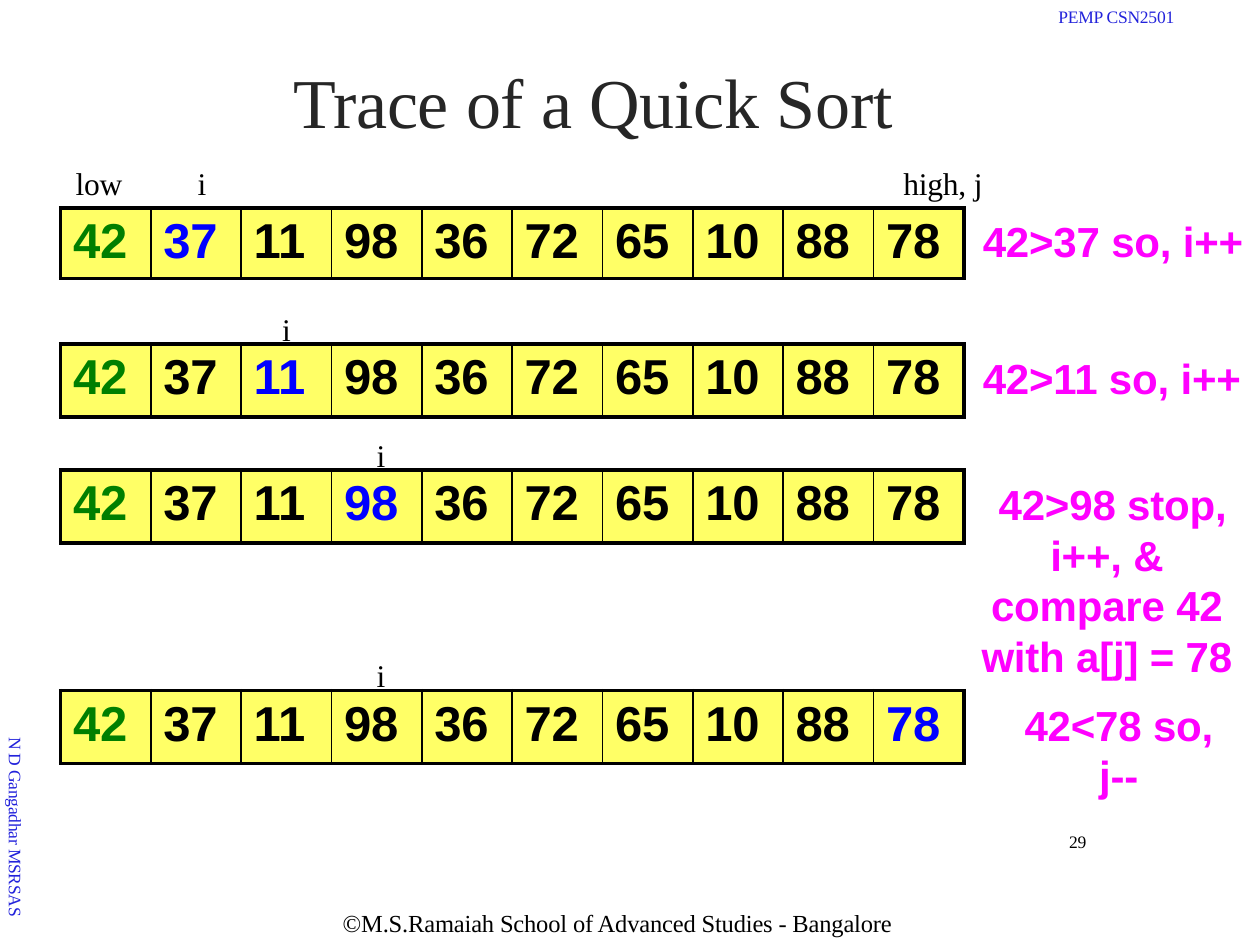
from lxml.etree import SubElement
from pptx import Presentation
from pptx.dml.color import RGBColor
from pptx.enum.text import MSO_ANCHOR as Anchor, PP_ALIGN as Align
from pptx.oxml.ns import qn
from pptx.util import Inches, Pt

SERIF, SANS = "Times New Roman", "Arial"
BLACK, BLUE, GREEN = "000000", "0000FF", "007F00"
MAGENTA, YELLOW, MARGIN_BLUE, TITLE_GREY = "FF00FF", "FFFF66", "2222DB", "262626"
VALUES = [42, 37, 11, 98, 36, 72, 65, 10, 88, 78]
TRACE_LEFT, TRACE_WIDTH = 0.48, 7.17


def color(hex_code):
    return RGBColor.from_string(hex_code)


def style(paragraph, size, font, ink, bold=False, left=0.01, first=0, right=0, before=0):
    paragraph.space_before = Pt(before)
    indents = paragraph._p.get_or_add_pPr()
    for key, inches in (("marL", left), ("indent", first), ("marR", right)):
        indents.set(key, str(Inches(inches)))
    for run in paragraph.runs:
        run.font.size = Pt(size)
        run.font.name = font
        run.font.bold = bold
        run.font.color.rgb = color(ink)
        run._r.get_or_add_rPr().set("spc", "-10")


def set_margins(frame, top=0.01):
    frame.word_wrap = True
    frame.margin_left = frame.margin_right = frame.margin_bottom = 0
    frame.margin_top = Inches(top)


def add_label(slide, place, text, size, font=SERIF, ink=BLACK, bold=False):
    frame = slide.shapes.add_textbox(*map(Inches, place)).text_frame
    set_margins(frame)
    frame.text = text
    style(frame.paragraphs[0], size, font, ink, bold)
    return frame


def add_title(slide, text):
    title = slide.shapes.title
    title.left, title.top, title.width, title.height = map(Inches, (2.23, 0.45, 4.94, 0.69))
    frame = title.text_frame
    set_margins(frame)
    frame.vertical_anchor = Anchor.MIDDLE
    frame.text = text
    frame.paragraphs[0].alignment = Align.CENTER
    style(frame.paragraphs[0], 40, SERIF, TITLE_GREY)


def add_border(cell, side, width):
    line = SubElement(cell._tc.get_or_add_tcPr(), qn(f"a:ln{side}"), w=str(Pt(width)))
    fill = SubElement(line, qn("a:solidFill"))
    SubElement(fill, qn("a:srgbClr"), val=BLACK)


def add_trace(slide, top, height, compared):
    last = len(VALUES) - 1
    place = map(Inches, (TRACE_LEFT, top, TRACE_WIDTH, height))
    trace = slide.shapes.add_table(1, len(VALUES), *place).table
    trace.first_row = trace.horz_banding = False
    for index, value in enumerate(VALUES):
        cell = trace.cell(0, index)
        cell.margin_left = cell.margin_right = cell.margin_bottom = 0
        cell.margin_top = Inches(0.05)
        cell.text = str(value)
        ink = GREEN if index == 0 else BLUE if index == compared else BLACK
        style(cell.text_frame.paragraphs[0], 28, SANS, ink, True, left=0.1, before=3.7)
        add_border(cell, "L", 2.25 if index == 0 else 1)
        add_border(cell, "R", 2.25 if index == last else 1)
        add_border(cell, "T", 2.25)
        add_border(cell, "B", 2.25)
        cell.fill.solid()
        cell.fill.fore_color.rgb = color(YELLOW)


def add_stop_notes(slide):
    frame = add_label(slide, (7.76, 3.79, 2.14, 2.18),
                      "42>98 stop, i++, & compare 42 with a[j] = 78", 24, SANS, MAGENTA, True)
    stop = frame.paragraphs[0]
    style(stop, 24, SANS, MAGENTA, True, first=0.09, right=0.1)
    step = frame.add_paragraph()
    step.text = "42<78 so, j--"
    style(step, 24, SANS, MAGENTA, True, left=0.2, right=0.1, before=10.7)
    stop.alignment = step.alignment = Align.CENTER


def add_page_number(slide, number):
    frame = add_label(slide, (8.29, 6.52, 0.43, 0.31), number, 10)
    frame.margin_right = Inches(0.1)
    frame.vertical_anchor = Anchor.MIDDLE
    frame.paragraphs[0].alignment = Align.RIGHT


def main():
    deck = Presentation()
    deck.slide_width, deck.slide_height = Inches(10), Inches(7.5)
    slide = deck.slides.add_slide(deck.slide_layouts[5])

    add_label(slide, (8.39, 0.04, 0.98, 0.19), "PEMP CSN2501", 10, ink=MARGIN_BLUE)
    author = add_label(slide, (0.03, 5.84, 0.18, 1.48), "N D Gangadhar MSRSAS", 10,
                       ink=MARGIN_BLUE)
    author._txBody.bodyPr.set("vert", "vert")
    author.margin_top = 0
    add_label(slide, (2.71, 7.2, 4.48, 0.26),
              "©M.S.Ramaiah School of Advanced Studies - Bangalore", 14)
    add_title(slide, "Trace of a Quick Sort")

    for top, height, compared in ((1.65, 0.56, 1), (2.73, 0.58, 2), (3.73, 0.58, 3), (5.48, 0.58, 9)):
        add_trace(slide, top, height, compared)

    for left, top, width, pointer in (
        (0.59, 1.29, 0.4, "low"),
        (1.56, 1.29, 0.1, "i"),
        (7.16, 1.29, 0.67, "high, j"),
        (2.23, 2.45, 0.1, "i"),
        (2.98, 3.45, 0.1, "i"),
        (2.98, 5.2, 0.1, "i"),
    ):
        add_label(slide, (left, top, width, 0.33), pointer, 18)

    for top, comparison in ((1.7, "42>37 so, i++"), (2.79, "42>11 so, i++")):
        add_label(slide, (7.79, top, 2.11, 0.43), comparison, 24, SANS, MAGENTA, True)
    add_stop_notes(slide)
    add_page_number(slide, "29")
    deck.save("out.pptx")


if __name__ == "__main__":
    main()
